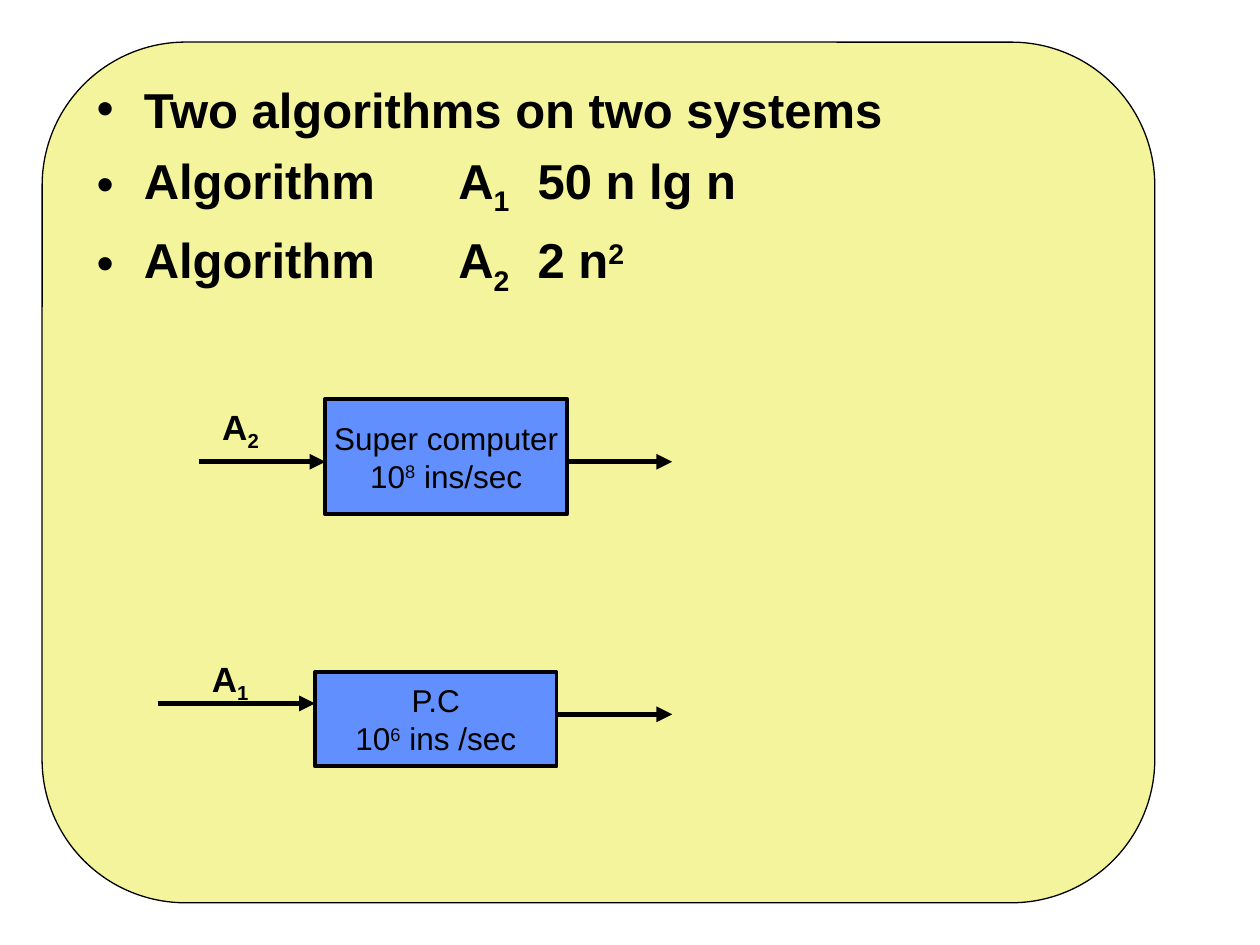
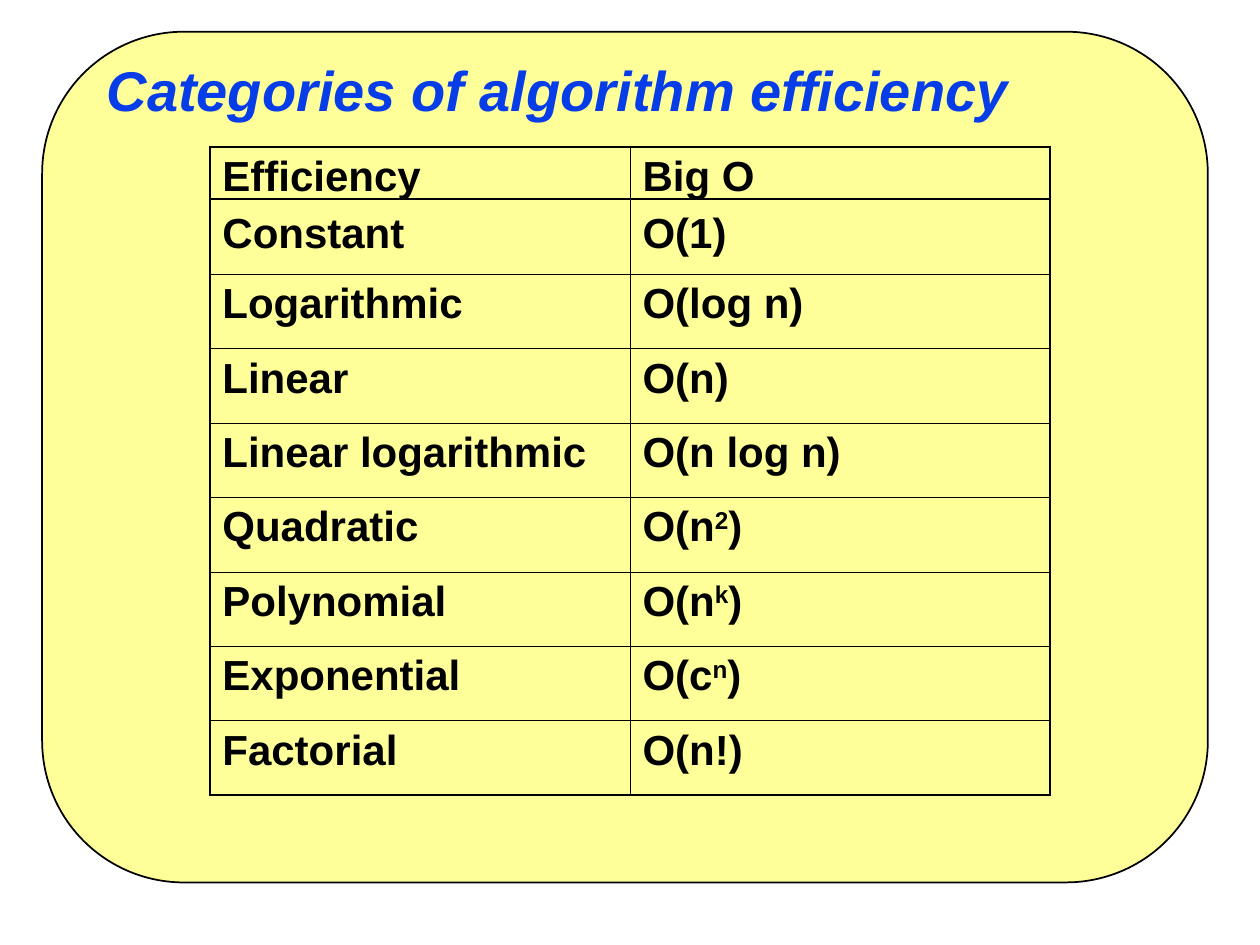
from lxml import etree
from pptx import Presentation
from pptx import util as u
from pptx.dml.color import RGBColor
from pptx.enum import shapes, text
from pptx.oxml import ns

INK = "000000"
BLUE = "063DE8"
BOX = "618FFD"
FONT = "Arial"
SHIFT = {"_": "-25000", "^": "30000"}

ROWS = [
    ("Efficiency\nConstant", "Big O\nO(1)"),
    ("Logarithmic", "O(log n)"),
    ("Linear", "O(n)"),
    ("Linear logarithmic", "O(n log n)"),
    ("Quadratic", "O(n|^2|)"),
    ("Polynomial", "O(n|^k|)"),
    ("Exponential", "O(c|^n|)"),
    ("Factorial", "O(n!)"),
]


def color(code):
    return RGBColor.from_string(code)


def place(*sizes):
    return [u.Cm(size) for size in sizes]


def node(parent, tag, **attrs):
    return etree.SubElement(parent, ns.qn(tag), attrs)


def write(frame, words, size, bold=True, italic=False, ink=INK, gap=0,
          align=None, prep=None):
    """Fill a frame; parts between bars that start with _ or ^ are shifted."""
    for i, line in enumerate(words.split("\n")):
        para = frame.add_paragraph() if i else frame.paragraphs[0]
        if prep:
            prep(para)
        para.alignment = align
        para.space_before = u.Pt(gap if i else 0)
        font = para.font
        font.name, font.size = FONT, u.Pt(size)
        font.bold, font.italic = bold, italic
        font.color.rgb = color(ink)
        for part in line.split("|"):
            run = para.add_run()
            shift = SHIFT.get(part[0])
            run.text = part[1:] if shift else part
            if shift:
                run._r.get_or_add_rPr().set("baseline", shift)


def label(slide, box, words, size, anchor=text.MSO_ANCHOR.TOP, **style):
    frame = slide.shapes.add_textbox(*place(*box)).text_frame
    frame.word_wrap = True
    frame.vertical_anchor = anchor
    write(frame, words, size, **style)


def block(slide, kind, box, fill, width):
    shape = slide.shapes.add_shape(kind, *place(*box))
    shape.shadow.inherit = False
    shape.fill.solid()
    shape.fill.fore_color.rgb = color(fill)
    shape.line.color.rgb = color(INK)
    shape.line.width = u.Pt(width)
    return shape


def card(slide, box, fill, width):
    block(slide, shapes.MSO_SHAPE.ROUNDED_RECTANGLE, box, fill, width)


def rule(slide, left, right, y, width, arrow=False):
    """Draw a level line, with an arrowhead on its right if asked."""
    line = slide.shapes.add_connector(
        shapes.MSO_CONNECTOR.STRAIGHT, *place(left, y, right, y))
    line.line.color.rgb = color(INK)
    line.line.width = u.Pt(width)
    if arrow:
        node(line.line._get_or_add_ln(), "a:tailEnd", type="triangle")
    node(line._element.spPr, "a:effectLst")


def bullet(para):
    props = para._p.get_or_add_pPr()
    props.set("marL", str(u.Cm(0.95)))
    props.set("indent", str(-u.Cm(0.95)))
    node(props, "a:buFont", typeface=FONT)
    node(props, "a:buChar", char="•")
    tabs = node(props, "a:tabLst")
    for stop in (5.16, 7.29):
        node(tabs, "a:tab", pos=str(u.Cm(stop)), algn="l")


def system(slide, box, words, name, tag, start, drop, out):
    """Draw a machine, its input and output arrows and the input's name.

    tag is the offset of the name from the box, start the length of the
    input arrow; drop and out are the depths of the two arrows.
    """
    left, top, width, height = box
    shape = block(slide, shapes.MSO_SHAPE.RECTANGLE, box, BOX, 2.25)
    frame = shape.text_frame
    frame.word_wrap = False
    frame.vertical_anchor = text.MSO_ANCHOR.MIDDLE
    write(frame, words, 18, bold=False, align=text.PP_ALIGN.CENTER)
    rule(slide, left - start, left, top + drop, 3, arrow=True)
    rule(slide, left + width, 13.55, top + out, 3, arrow=True)
    label(slide, (left - 2.33, top + tag, 1.48, 1.22), name, 20)


def grid(slide, box):
    left, top, width, height = box
    first, other = 2.57, 1.5
    table = slide.shapes.add_table(
        len(ROWS), 2, *place(left, top, width, height)).table
    table.first_row = table.horz_banding = False
    for col in table.columns:
        col.width = u.Cm(width / 2)
    for r, row in enumerate(ROWS):
        table.rows[r].height = u.Cm(other if r else first)
        for c, words in enumerate(row):
            cell = table.cell(r, c)
            write(cell.text_frame, words, 24, gap=6)
            edges = {"L": c == 0, "R": c == 1,
                     "T": r == 0, "B": r == len(ROWS) - 1}
            frame(cell, edges)
            cell.fill.background()
    rule(slide, left, left + width, top + 1.06, 1)


def frame(cell, edges):
    """Border a cell, with a thicker line on the table's outer edges."""
    props = cell._tc.get_or_add_tcPr()
    for side, outer in edges.items():
        line = node(props, "a:ln" + side,
                    w=str(u.Pt(1.08 if outer else 0.45)))
        node(node(line, "a:solidFill"), "a:srgbClr", val=INK)


def compare(slide):
    card(slide, (0.85, 0.85, 22.43, 17.35), "F4F49C", 0.75)
    label(slide, (1.7, 1.48, 22.43, 6.2),
          "Two algorithms on two systems\n"
          "Algorithm\tA|_1|\t50 n lg n\n"
          "Algorithm\tA|_2|\t2 n|^2", 28, gap=7, prep=bullet)
    system(slide, (6.56, 8.04, 4.87, 2.33),
           "Super computer\n10|^8| ins/sec", "A|_2", 0, 2.54, 1.27, 1.27)
    system(slide, (6.35, 13.55, 4.87, 1.9),
           "P.C\n10|^6| ins /sec", "A|_1", -0.43, 3.17, 0.63, 0.85)


def classes(slide):
    card(slide, (0.85, 0.64, 23.5, 17.15), "FFFF99", 1)
    label(slide, (1.9, 0.85, 21.59, 1.9), "Categories of algorithm efficiency",
          32, anchor=text.MSO_ANCHOR.MIDDLE, italic=True, ink=BLUE)
    grid(slide, (4.23, 2.96, 16.94, 13.07))


def main():
    deck = Presentation()
    deck.slide_width, deck.slide_height = place(25.4, 19.05)
    for build in (compare, classes):
        build(deck.slides.add_slide(deck.slide_layouts[6]))
    deck.save("out.pptx")


if __name__ == "__main__":
    main()
